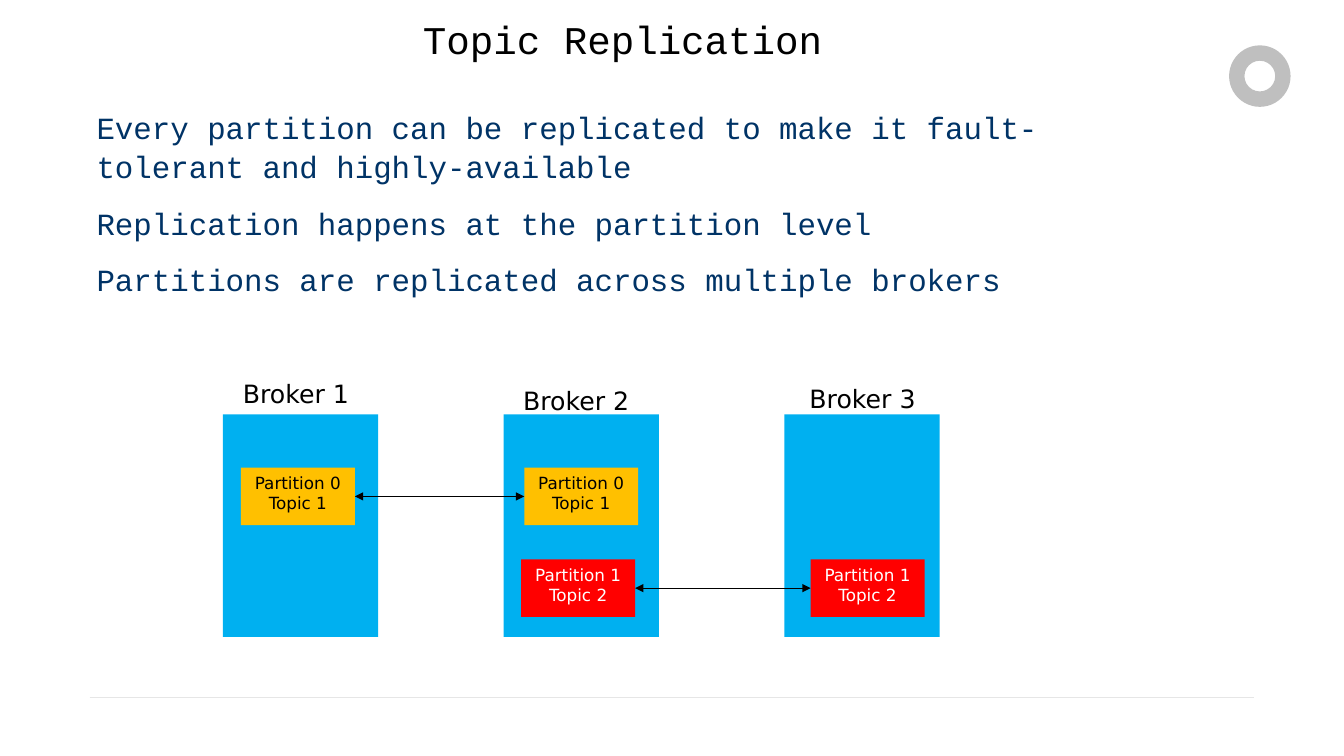
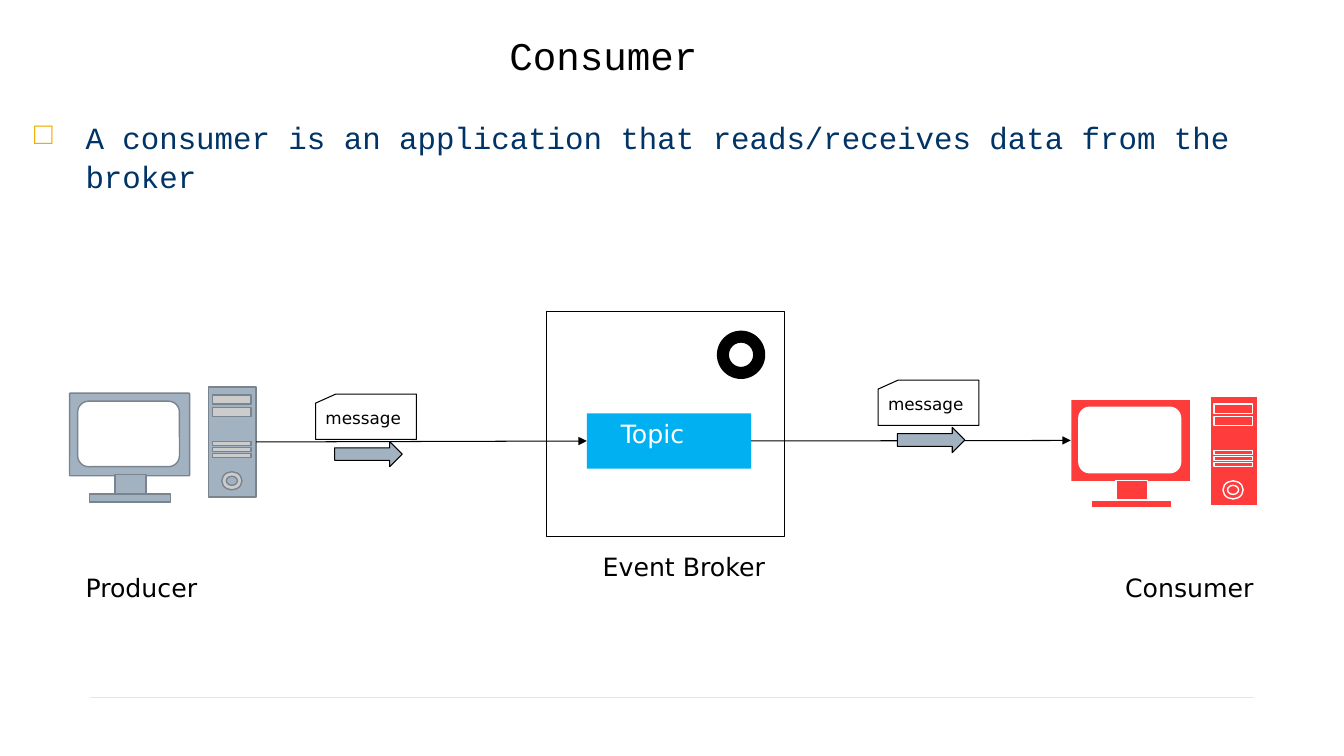
import lxml.etree
import pptx
import pptx.dml.color
import pptx.enum.shapes
import pptx.enum.text
import pptx.oxml.ns
import pptx.util

Inches = pptx.util.Inches
Pt = pptx.util.Pt
Shape = pptx.enum.shapes.MSO_SHAPE
Align = pptx.enum.text.PP_ALIGN

BLACK, WHITE = "000000", "FFFFFF"
NAVY, GOLD, RULE = "003366", "EEB000", "E6E6E6"
SKY, AMBER, RED = "00B0F0", "FFC000", "FF0000"
STEEL, STEEL_EDGE, SILVER, CORAL = "A3B2C1", "79848F", "CCCCCC", "FF3C3C"
MARK_GREY = "BFBFBF"
TOP, LEFT, BOTTOM, RIGHT = range(4)


def rgb(hex_code):
    return pptx.dml.color.RGBColor.from_string(hex_code)


def add_xml(parent, tag, **attributes):
    return lxml.etree.SubElement(parent, pptx.oxml.ns.qn(tag), attributes)


def write(frame, text, size=18, font="DejaVu Sans", color=BLACK, align=Align.LEFT,
          wrap=True, gap=0, spacing=None, indent=0, bullet=None):
    frame.word_wrap = wrap
    frame.vertical_anchor = pptx.enum.text.MSO_ANCHOR.TOP
    for index, line in enumerate(text.split("\n")):
        paragraph = frame.paragraphs[0] if index == 0 else frame.add_paragraph()
        paragraph.alignment = align
        paragraph.space_before = paragraph.space_after = Pt(gap)
        if spacing:
            paragraph.line_spacing = spacing
        run = paragraph.add_run()
        run.text = line
        run.font.size, run.font.name = Pt(size), font
        run.font.color.rgb = rgb(color)
        properties = paragraph._p.get_or_add_pPr()
        if indent:
            properties.set("marL", str(Inches(indent)))
        if bullet:
            properties.set("indent", str(-Inches(indent)))
            add_xml(add_xml(properties, "a:buClr"), "a:srgbClr", val=GOLD)
            add_xml(properties, "a:buFont", typeface=font)
            add_xml(properties, "a:buChar", char=bullet)


class Deck:
    """Builds slides that share one style and keeps track of the current slide."""

    def __init__(self):
        self.presentation = pptx.Presentation()
        self.presentation.slide_width = Inches(13.33)
        self.presentation.slide_height = Inches(7.5)
        self.canvas = None

    def new_slide(self, title, title_top):
        slide = self.presentation.slides.add_slide(self.presentation.slide_layouts[6])
        self.canvas = slide.shapes
        self.line((0.89, 6.92), (12.44, 6.92), RULE, 0.25)
        self.text(title, 0.43 if title_top < 0.2 else 0.24, title_top, 11.49, 0.57,
                  size=28, font="Courier New", align=Align.CENTER)

    def text(self, words, x, y, width, height, **style):
        box = self.canvas.add_textbox(Inches(x), Inches(y), Inches(width), Inches(height))
        write(box.text_frame, words, **style)

    def body(self, words, x, y, width, height, **style):
        self.text(words, x, y, width, height, size=22, font="Courier New",
                  color=NAVY, gap=6, spacing=1.07, **style)

    def label(self, words, x, y, width):
        self.text(words, x, y, width, 0.4, wrap=False)

    def shape(self, kind, x, y, width, height, fill=None, edge=None, weight=0.75,
              words=None, **style):
        shape = self.canvas.add_shape(kind, Inches(x), Inches(y), Inches(width), Inches(height))
        shape.shadow.inherit = False
        if fill:
            shape.fill.solid()
            shape.fill.fore_color.rgb = rgb(fill)
        else:
            shape.fill.background()
        if edge:
            shape.line.color.rgb = rgb(edge)
            shape.line.width = Pt(weight)
        else:
            shape.line.fill.background()
        if words:
            write(shape.text_frame, words, **style)
        return shape

    def line(self, start, end, color=BLACK, weight=0.75, head="none", tail="none"):
        line = self.canvas.add_connector(pptx.enum.shapes.MSO_CONNECTOR.STRAIGHT,
                                         *map(Inches, start + end))
        line.line.color.rgb = rgb(color)
        line.line.width = Pt(weight)
        outline = line.line._get_or_add_ln()
        add_xml(outline, "a:headEnd", type=head)
        add_xml(outline, "a:tailEnd", type=tail)
        add_xml(line._element.spPr, "a:effectLst")
        return line

    def join(self, source, target, head="none"):
        arrow = self.line((0, 0), (0, 0), head=head, tail="triangle")
        arrow.begin_connect(source, RIGHT)
        arrow.end_connect(target, LEFT)

    def partition(self, number, x, y, fill, color):
        return self.shape(Shape.RECTANGLE, x, y, 1.13, 0.57, fill,
                          words=f"Partition {number}\nTopic {number + 1}",
                          size=12, color=color, align=Align.CENTER)

    def grouped(self, draw, *arguments):
        slide_canvas = self.canvas
        self.canvas = slide_canvas.add_group_shape().shapes
        main_part = draw(*arguments)
        self.canvas = slide_canvas
        return main_part

    def monitor(self, x, y, fill, edge):
        case = self.shape(Shape.ROUNDED_RECTANGLE, x, y, 1.19, 0.82, fill, edge, 1)
        case.adjustments[0] = 0.01
        self.shape(Shape.ROUNDED_RECTANGLE, x + 0.08, y + 0.08, 1.01, 0.65, WHITE, edge, 1)
        self.shape(Shape.RECTANGLE, x + 0.45, y + 0.81, 0.31, 0.2, fill, edge, 1)
        self.shape(Shape.RECTANGLE, x + 0.2, y + 1, 0.8, 0.08, fill, edge, 1)
        return case

    def tower(self, x, y, fill, edge, detail):
        case = self.shape(Shape.RECTANGLE, x, y, 0.47, 1.09, fill, edge, 1)
        slots = [(0.08, 0.09), (0.2, 0.09), (0.54, 0.04), (0.6, 0.04), (0.66, 0.04)]
        for drop, height in slots:
            self.shape(Shape.RECTANGLE, x + 0.04, y + drop, 0.38, height, detail, edge, 1)
        self.shape(Shape.DONUT, x + 0.13, y + 0.84, 0.2, 0.18, detail, edge, 1)
        return case

    def message(self, x, y):
        self.shape(Shape.RIGHT_ARROW, x + 0.19, y + 0.47, 0.67, 0.25, STEEL, BLACK)
        return self.shape(Shape.FLOWCHART_CARD, x, y, 1, 0.45, edge=BLACK,
                          words="message", size=12)


def build_replication(deck):
    deck.new_slide("Topic Replication", 0.1)
    deck.body("Every partition can be replicated to make it fault-tolerant and highly-available\n"
              "Replication happens at the partition level\n"
              "Partitions are replicated across multiple brokers", 0.86, 1, 10.4, 1.99)
    deck.shape(Shape.DONUT, 12.19, 0.45, 0.61, 0.61, MARK_GREY)
    label_spots = [(2.31, 3.7), (5.09, 3.77), (7.93, 3.75)]
    for index, (x, y) in enumerate(label_spots):
        deck.shape(Shape.RECTANGLE, 2.21 + 2.785 * index, 4.11, 1.54, 2.21, SKY)
        deck.label(f"Broker {index + 1}", x, y, 1.29)
    replicas = [(0, (2.39, 5.2), 4.64, AMBER, BLACK), (1, (5.17, 8.04), 5.55, RED, WHITE)]
    for number, lefts, y, fill, color in replicas:
        first, second = [deck.partition(number, x, y, fill, color) for x in lefts]
        deck.join(first, second, head="triangle")


def build_consumer(deck):
    deck.new_slide("Consumer", 0.26)
    deck.body("A consumer is an application that reads/receives data from the broker",
              0.24, 1.1, 12.71, 1.05, indent=0.51, bullet="□")
    deck.shape(Shape.RECTANGLE, 5.42, 3.09, 2.36, 2.23, edge=BLACK)
    deck.shape(Shape.DONUT, 7.11, 3.28, 0.48, 0.48, BLACK)
    topic = deck.shape(Shape.RECTANGLE, 5.82, 4.1, 1.63, 0.55, SKY,
                       words="Topic", color=WHITE, indent=0.24)
    deck.grouped(deck.monitor, 0.69, 3.9, STEEL, STEEL_EDGE)
    producer = deck.grouped(deck.tower, 2.07, 3.84, STEEL, STEEL_EDGE, SILVER)
    consumer = deck.grouped(deck.monitor, 10.62, 3.96, CORAL, WHITE)
    deck.grouped(deck.tower, 12, 3.93, CORAL, WHITE, CORAL)
    deck.join(producer, topic)
    deck.join(topic, consumer)
    for x, y in [(3.13, 3.91), (8.71, 3.77)]:
        deck.grouped(deck.message, x, y)
    deck.label("Producer", 0.75, 5.63, 1.32)
    deck.label("Event Broker", 5.88, 5.42, 1.84)
    deck.label("Consumer", 11.06, 5.63, 1.49)


def main():
    deck = Deck()
    build_replication(deck)
    build_consumer(deck)
    deck.presentation.save("out.pptx")


if __name__ == "__main__":
    main()
